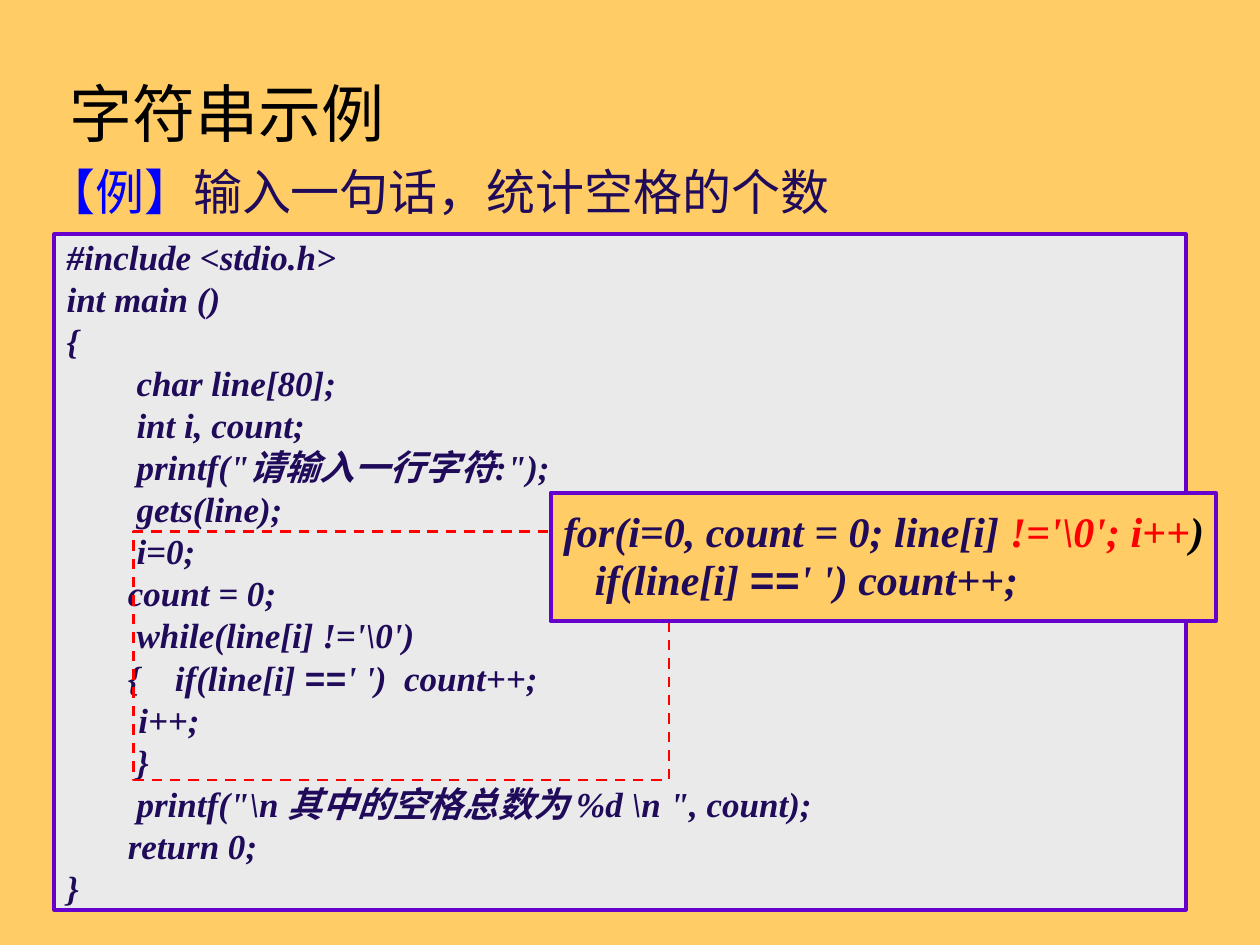
from lxml.etree import SubElement
from pptx import Presentation
from pptx.dml.color import RGBColor
from pptx.enum.dml import MSO_LINE
from pptx.enum.shapes import MSO_SHAPE
from pptx.enum.text import MSO_ANCHOR, PP_ALIGN
from pptx.oxml.ns import qn
from pptx.util import Inches, Pt

COLORS = {
    "background": "FFCC66",
    "title": "000000",
    "label": "0000FF",
    "text": "200B5B",
    "panel": "EAEAEA",
    "border": "6600CC",
    "accent": "FF0000",
}
SERIF, MONO, CJK = "Times New Roman", "Courier New", "Noto Sans CJK SC"

# A line is a list of runs: (text, color name, font)
PROGRAM = [[(line, "text", SERIF)] for line in (
    "#include <stdio.h>",
    "int main ()",
    "{",
    "        char line[80];",
    "        int i, count;",
    "        printf(\"请输入一行字符:\");",
    "        gets(line);",
    "        i=0;",
    "       count = 0;",
    "        while(line[i] !='\\0')",
    "       {    if(line[i] ",
    "\t i++;",
    "        }",
    "        printf(\"\\n 其中的空格总数为 %d \\n \", count);",
    "       return 0;",
    "}",
)]
PROGRAM[10] += [("==", "text", MONO), ("' ')  count++;", "text", SERIF)]

FOR_LOOP = [
    [("for(i=0, count = 0; line[i] ", "text", SERIF),
     ("!='\\0'; i++", "accent", SERIF), (")", "title", SERIF)],
    [("   if(line[i] ", "text", SERIF), ("==", "text", MONO),
     ("' ') count++;", "text", SERIF)],
]


def rgb(name):
    return RGBColor.from_string(COLORS[name])


def write_lines(tf, lines, size, code=False, spacing=None):
    for i, runs in enumerate(lines):
        p = tf.paragraphs[0] if i == 0 else tf.add_paragraph()
        p.alignment = PP_ALIGN.LEFT
        p.line_spacing = spacing
        for text, color, font in runs:
            r = p.add_run()
            r.text = text
            r.font.size = Pt(size)
            r.font.bold = r.font.italic = code
            r.font.color.rgb = rgb(color)
            r.font.name = font
            # Chinese characters use the East Asian font
            SubElement(r.font._element, qn("a:ea"), typeface=CJK)


def add_text(s, box, lines, size, anchor=MSO_ANCHOR.TOP):
    tf = s.shapes.add_textbox(*map(Inches, box)).text_frame
    tf.word_wrap = True
    tf.vertical_anchor = anchor
    write_lines(tf, lines, size)


def add_frame(s, box, line, width, fill=None):
    sp = s.shapes.add_shape(MSO_SHAPE.RECTANGLE, *map(Inches, box))
    sp.shadow.inherit = False
    if fill:
        sp.fill.solid()
        sp.fill.fore_color.rgb = rgb(fill)
    else:
        sp.fill.background()
    sp.line.color.rgb = rgb(line)
    sp.line.width = Pt(width)
    return sp


def add_code(s, box, fill, lines, size, wrap, spacing=None):
    tf = add_frame(s, box, "border", 2.25, fill).text_frame
    tf.word_wrap = wrap
    tf.vertical_anchor = MSO_ANCHOR.MIDDLE
    write_lines(tf, lines, size, True, spacing)


def main():
    prs = Presentation()
    prs.slide_width, prs.slide_height = Inches(10), Inches(7.5)
    s = prs.slides.add_slide(prs.slide_layouts[6])
    s.background.fill.solid()
    s.background.fill.fore_color.rgb = rgb("background")

    # Title and task
    add_text(s, (0.45, 0.53, 9, 0.72), [[("字符串示例", "title", CJK)]], 36,
             MSO_ANCHOR.MIDDLE)
    add_text(s, (0.27, 1.23, 9.37, 0.63),
             [[("【例】", "label", SERIF),
               ("输入一句话，统计空格的个数", "text", SERIF)]], 28)

    # Program, with the while loop marked
    add_code(s, (0.43, 1.86, 8.98, 5.36), "panel", PROGRAM, 20, True)
    loop = add_frame(s, (1.06, 4.22, 4.25, 1.97), "accent", 1.5)
    loop.line.dash_style = MSO_LINE.DASH

    # Equivalent for loop
    add_code(s, (4.37, 3.91, 5.28, 1.02), "background", FOR_LOOP, 24, False,
             0.95)

    prs.save("out.pptx")


if __name__ == "__main__":
    main()
